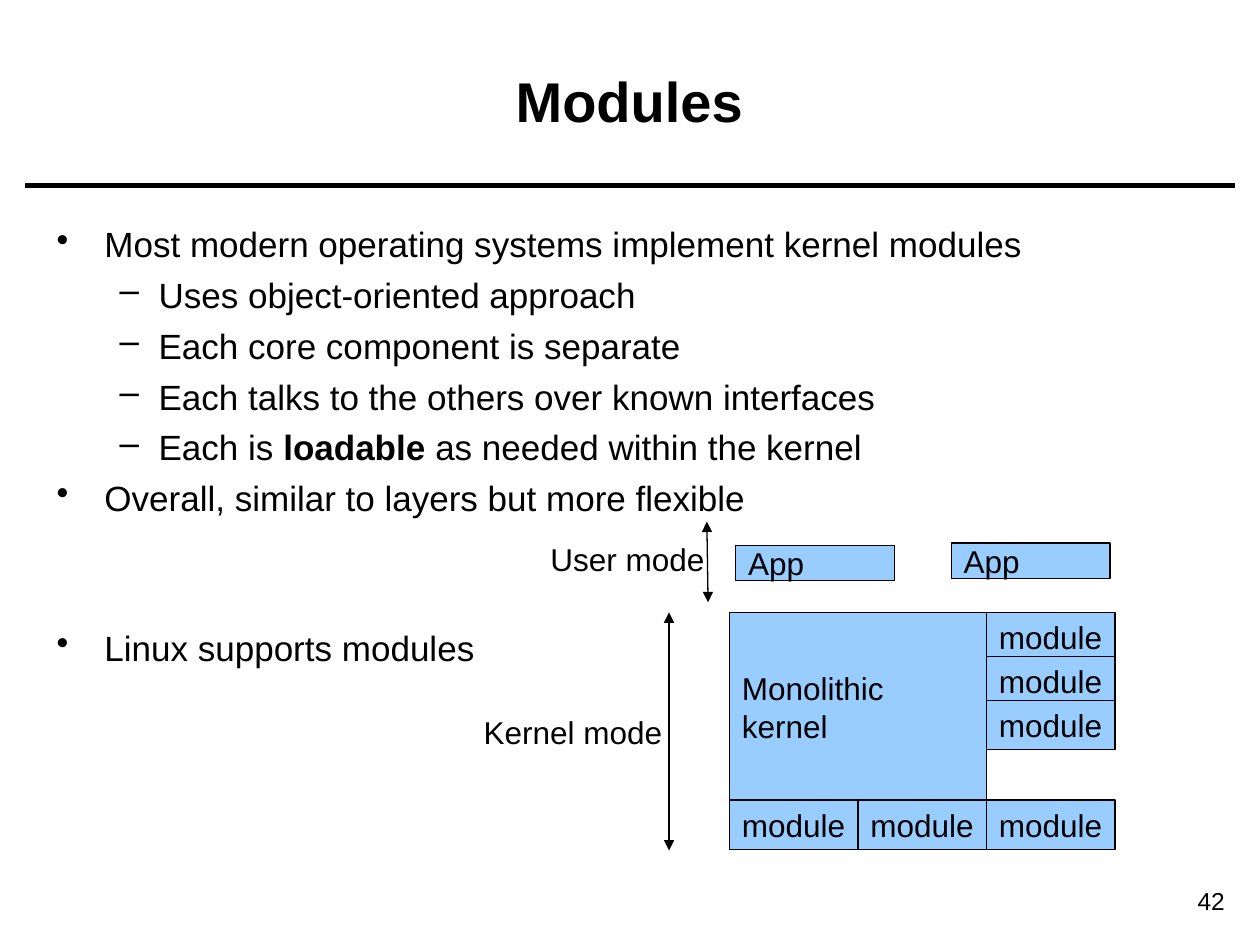
from dataclasses import dataclass

from lxml import etree
from pptx import Presentation
from pptx import util as u
from pptx.dml.color import RGBColor
from pptx.enum import shapes, text
from pptx.oxml import ns


@dataclass(frozen=True)
class Theme:
    font: str = "Arial"
    ink: RGBColor = RGBColor(0x00, 0x00, 0x00)
    box: RGBColor = RGBColor(0x99, 0xCC, 0xFF)
    title: int = 32
    body: int = 20
    label: int = 18
    number: int = 14
    rule: float = 3
    thin: float = 0.75


class SlideBuilder:
    def __init__(self, prs, theme):
        self.theme = theme
        self.s = prs.slides.add_slide(prs.slide_layouts[5])

    def run(self, p, words, size, bold=False):
        r = p.add_run()
        r.text = words
        r.font.name = self.theme.font
        r.font.size = u.Pt(size)
        r.font.bold = bold
        r.font.color.rgb = self.theme.ink

    def title(self, words, *at):
        sp = self.s.shapes.title
        sp.left, sp.top, sp.width, sp.height = map(u.Inches, at)
        tf = sp.text_frame
        tf.auto_size = text.MSO_AUTO_SIZE.NONE
        tf.vertical_anchor = text.MSO_ANCHOR.MIDDLE
        p = tf.paragraphs[0]
        p.alignment = text.PP_ALIGN.CENTER
        self.run(p, words, self.theme.title, bold=True)

    def label(self, words, *at, size=None, align=text.PP_ALIGN.LEFT):
        tf = self.s.shapes.add_textbox(*map(u.Inches, at)).text_frame
        tf.word_wrap = False
        p = tf.paragraphs[0]
        p.alignment = align
        self.run(p, words, size or self.theme.label)

    def bullets(self, items, *at):
        """Each item is (level, space before in points, [(words, bold), ...])."""
        tf = self.s.shapes.add_textbox(*map(u.Inches, at)).text_frame
        tf.word_wrap = True
        for i, (level, before, runs) in enumerate(items):
            p = tf.add_paragraph() if i else tf.paragraphs[0]
            margin, hang, mark = ((0.38, 0.38, "•"), (0.81, 0.31, "–"))[level]
            pPr = p._p.get_or_add_pPr()
            pPr.set("marL", str(u.Inches(margin)))
            pPr.set("indent", str(-u.Inches(hang)))
            etree.SubElement(pPr, ns.qn("a:buChar")).set("char", mark)
            p.level = level
            p.space_before = u.Pt(before)
            for words, bold in runs:
                self.run(p, words, self.theme.body, bold)

    def box(self, lines, *at):
        sp = self.s.shapes.add_shape(shapes.MSO_SHAPE.RECTANGLE, *map(u.Inches, at))
        sp.shadow.inherit = False
        sp.fill.solid()
        sp.fill.fore_color.rgb = self.theme.box
        sp.line.color.rgb = self.theme.ink
        sp.line.width = u.Pt(self.theme.thin)
        tf = sp.text_frame
        tf.word_wrap = False
        tf.vertical_anchor = text.MSO_ANCHOR.MIDDLE
        p = tf.paragraphs[0]
        p.alignment = text.PP_ALIGN.LEFT
        for i, words in enumerate(lines):
            if i:
                p.add_line_break()
            self.run(p, words, self.theme.label)

    def line(self, *ends, width, arrows=False):
        cn = self.s.shapes.add_connector(shapes.MSO_CONNECTOR.STRAIGHT, *map(u.Inches, ends))
        cn.line.color.rgb = self.theme.ink
        cn.line.width = u.Pt(width)
        if arrows:
            ln = cn.line._get_or_add_ln()
            for tag in ("a:headEnd", "a:tailEnd"):
                etree.SubElement(ln, ns.qn(tag)).set("type", "triangle")
        etree.SubElement(cn._element.spPr, ns.qn("a:effectLst"))


def main():
    prs = Presentation()
    prs.slide_width, prs.slide_height = u.Inches(10), u.Inches(7.5)
    theme = Theme()
    b = SlideBuilder(prs, theme)

    # Title, rule and page number
    b.title("Modules", 0.35, 0.17, 9.29, 1.25)
    b.line(0.2, 1.47, 9.8, 1.47, width=theme.rule)
    b.label("42", 8.78, 6.98, 1.04, 0.34, size=theme.number, align=text.PP_ALIGN.RIGHT)

    # Bullets; the last one leaves room for the user-mode row
    gap, wide_gap = 5, 61.5
    b.bullets([
        (0, 0, [("Most modern operating systems implement kernel modules", False)]),
        (1, gap, [("Uses object-oriented approach", False)]),
        (1, gap, [("Each core component is separate", False)]),
        (1, gap, [("Each talks to the others over known interfaces", False)]),
        (1, gap, [("Each is ", False), ("loadable", True),
                  (" as needed within the kernel", False)]),
        (0, gap, [("Overall, similar to layers but more flexible", False)]),
        (0, wide_gap, [("Linux supports modules", False)]),
    ], 0.35, 1.72, 9.29, 5.1)

    # Kernel with modules down its right side and along its foot
    left, top, mod_w, mod_h = 5.79, 4.86, 1.02, 0.39
    b.box(["Monolithic", "kernel"], left, top, 2 * mod_w, 1.5)
    for i in range(3):
        b.box(["module"], left + 2 * mod_w, top + 0.35 * i, mod_w, mod_h)
    for i in range(3):
        b.box(["module"], left + mod_w * i, 6.35, mod_w, mod_h)

    # Applications
    for x, y in ((5.84, 4.33), (7.55, 4.31)):
        b.box(["App"], x, y, 1.26, 0.28)

    # Mode spans
    b.line(5.31, 4.86, 5.31, 6.75, width=theme.thin, arrows=True)
    b.label("Kernel mode", 3.74, 5.61, 1.63, 0.4)
    b.line(5.61, 4.14, 5.62, 4.78, width=theme.thin, arrows=True)
    b.label("User mode", 4.27, 4.24, 1.44, 0.4)

    prs.save("out.pptx")


if __name__ == "__main__":
    main()
